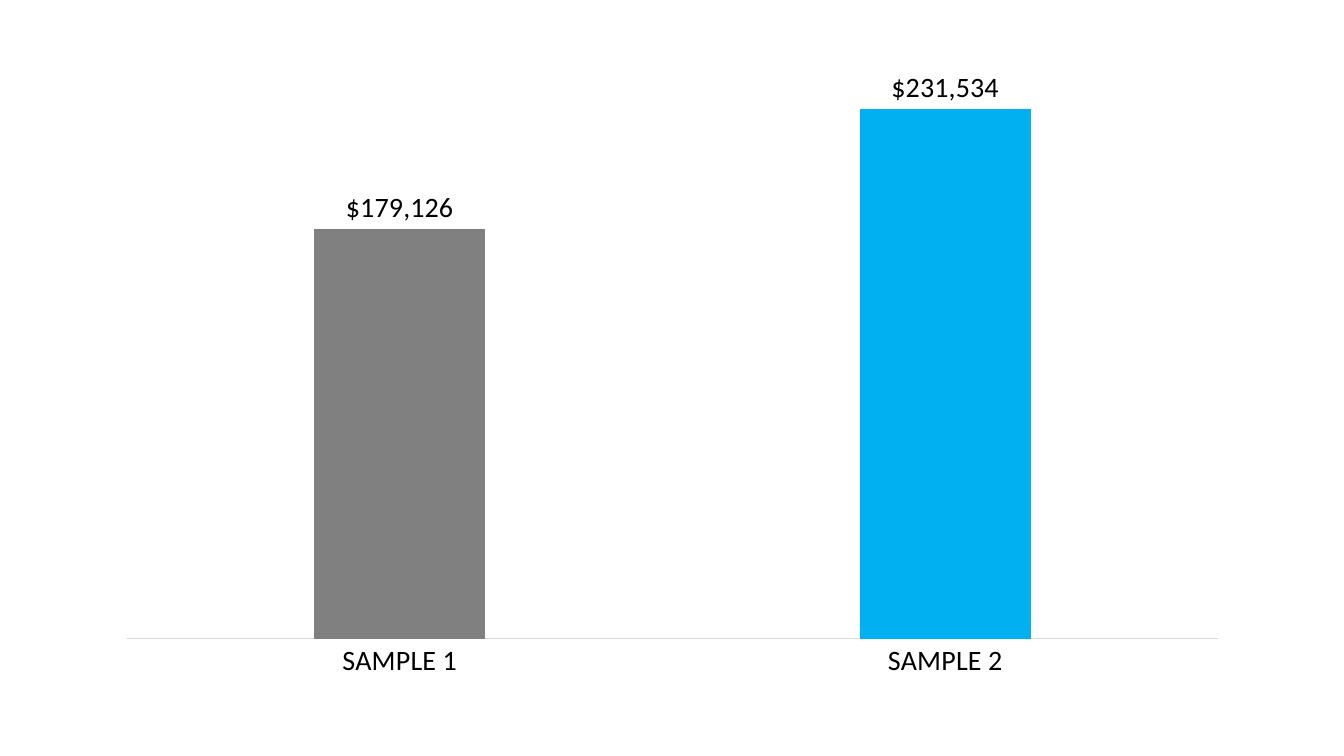
"""Build a slide with a two-column chart of sample amounts."""
from lxml.etree import SubElement
from pptx import Presentation
from pptx.chart.data import CategoryChartData
from pptx.dml.color import RGBColor
from pptx.enum.chart import XL_CHART_TYPE as ChartType
from pptx.enum.chart import XL_LABEL_POSITION as LabelPosition
from pptx.enum.chart import XL_TICK_MARK as TickMark
from pptx.oxml.ns import qn
from pptx.util import Emu, Pt

SAMPLES = [("SAMPLE 1", 179126, "808080"), ("SAMPLE 2", 231534, "00B0F0")]
SERIES_COLOR, TEXT_COLOR, AXIS_COLOR = "BFBFBF", "000000", "D9D9D9"
FONT, DOLLARS = "Calibri", '"$"#,##0'
SLIDE = (1344, 756)
CHART = (104, 53, 1136, 637)
PLOT = (127, 67, 1091, 572)
AXIS_TOP = 250000


def px(length):
    return Emu(round(length * 914400 / 100.8))


def paint(fill, color):
    fill.solid()
    fill.fore_color.rgb = RGBColor.from_string(color)


def style(font, size, color=TEXT_COLOR):
    font.name, font.size, font.bold = FONT, Pt(size), False
    paint(font.fill, color)


def place_plot(chart):
    left, top, width, height = CHART
    x, y, w, h = PLOT
    plot_area = chart.plots[0]._element.getparent()
    for old in plot_area.findall(qn("c:layout")):
        plot_area.remove(old)
    layout = SubElement(plot_area, qn("c:layout"))
    plot_area.insert(0, layout)
    manual = SubElement(layout, qn("c:manualLayout"))
    settings = {
        "layoutTarget": "inner", "xMode": "edge", "yMode": "edge",
        "x": (x - left) / width, "y": (y - top) / height,
        "w": w / width, "h": h / height,
    }
    for tag, value in settings.items():
        SubElement(manual, qn(f"c:{tag}")).set("val", str(value))


deck = Presentation()
deck.slide_width, deck.slide_height = map(px, SLIDE)
slide = deck.slides.add_slide(deck.slide_layouts[6])

names, amounts, colors = zip(*SAMPLES)
data = CategoryChartData(number_format=DOLLARS)
data.categories = names
data.add_series("Series 1", amounts)
chart = slide.shapes.add_chart(
    ChartType.COLUMN_CLUSTERED, *map(px, CHART), data).chart
chart.has_legend = chart.has_title = False
style(chart.font, 10)
place_plot(chart)

columns = chart.plots[0]
columns.gap_width, columns.overlap, columns.vary_by_categories = 219, -27, False
series = columns.series[0]
paint(series.format.fill, SERIES_COLOR)
for index, color in enumerate(colors):
    paint(series.points[index].format.fill, color)

labels = series.data_labels
labels.show_value, labels.position = True, LabelPosition.OUTSIDE_END
labels.number_format, labels.number_format_is_linked = DOLLARS, False
style(labels.font, 20)

samples_axis, amounts_axis = chart.category_axis, chart.value_axis
samples_axis.major_tick_mark = samples_axis.minor_tick_mark = TickMark.NONE
samples_axis.format.line.width = Pt(0.75)
paint(samples_axis.format.line.fill, AXIS_COLOR)
style(samples_axis.tick_labels.font, 20)
amounts_axis.minimum_scale, amounts_axis.maximum_scale = 0, AXIS_TOP
amounts_axis.has_major_gridlines = amounts_axis.visible = False

deck.save("out.pptx")
